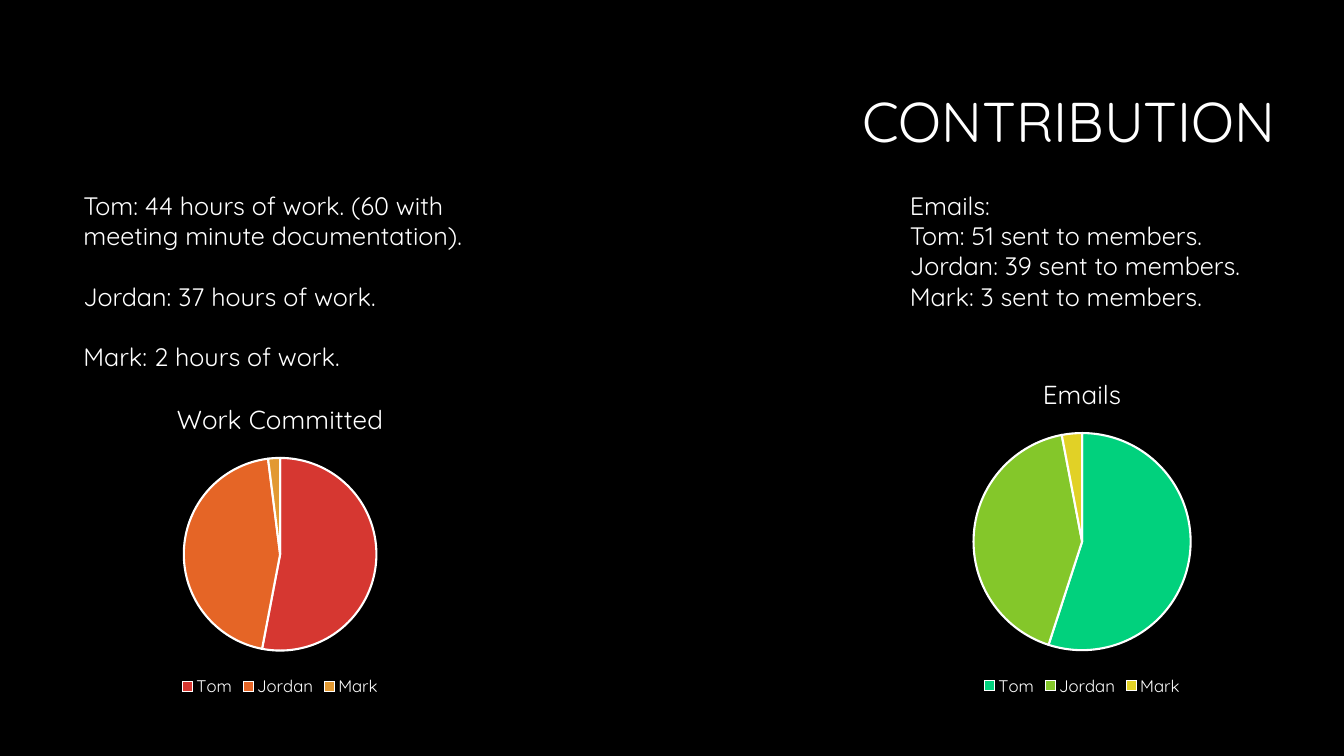
from pptx import Presentation
from pptx import util as u
from pptx.chart import data
from pptx.dml import color
from pptx.enum import chart as ch, text

FONT = "Quicksand"
WHITE = "FFFFFF"


def rgb(code):
    return color.RGBColor.from_string(code)


def write(lines, box, size=18, align=text.PP_ALIGN.LEFT,
          anchor=text.MSO_ANCHOR.TOP, gap=0, pitch=1.0):
    shape = slide.shapes.add_textbox(*[u.Cm(n) for n in box])
    frame = shape.text_frame
    frame.word_wrap = True
    frame.vertical_anchor = anchor
    frame.text = "\n".join(lines)
    for para in frame.paragraphs:
        para.alignment = align
        para.line_spacing = pitch
        para.space_after = u.Pt(gap)
        font = para.font
        font.name, font.size = FONT, u.Pt(size)
        font.color.rgb = rgb(WHITE)


# Slide with a black background
deck = Presentation()
deck.slide_width, deck.slide_height = u.Cm(33.87), u.Cm(19.05)
slide = deck.slides.add_slide(deck.slide_layouts[6])
slide.background.fill.solid()
slide.background.fill.fore_color.rgb = rgb("000000")

# Title
write(["CONTRIBUTION"], (8.46, 1.35, 23.93, 3.58), size=40,
      align=text.PP_ALIGN.RIGHT, anchor=text.MSO_ANCHOR.MIDDLE, pitch=0.9)

# Hours and emails
write(["Tom: 44 hours of work. (60 with meeting minute documentation).",
       "Jordan: 37 hours of work.",
       "Mark: 2 hours of work."], (1.85, 4.67, 10.9, 4.88), gap=21.6)
write(["Emails:",
       "Tom: 51 sent to members.",
       "Jordan: 39 sent to members.",
       "Mark: 3 sent to members."], (22.68, 4.67, 10.9, 3.33))

# Pie charts
pies = [
    ("Work Committed", (53, 45, 2), ("D63731", "E56526", "E29932"),
     (1.55, 9.68, 11.02, 7.98)),
    ("Emails", (55, 42, 3), ("01D17D", "84C72A", "E1D126"),
     (22.15, 9.04, 10.24, 8.61)),
]
for name, vals, hues, box in pies:
    table = data.CategoryChartData()
    table.categories = ["Tom", "Jordan", "Mark"]
    table.add_series(name, vals)
    chart = slide.shapes.add_chart(
        ch.XL_CHART_TYPE.PIE, *[u.Cm(n) for n in box], table).chart
    chart.has_title = True
    chart.chart_title.text_frame.text = name
    chart.chart_title.include_in_layout = False
    chart.has_legend = True
    chart.legend.position = ch.XL_LEGEND_POSITION.BOTTOM
    chart.legend.include_in_layout = False
    head = chart.chart_title.text_frame.paragraphs[0].runs[0].font
    for font, size in ((chart.font, 10), (chart.legend.font, 12), (head, 18.6)):
        font.name, font.size, font.bold = FONT, u.Pt(size), False
        font.color.rgb = rgb(WHITE)

    # Slices with white edges
    plot = chart.plots[0]
    plot.vary_by_categories = True
    for i, hue in enumerate(hues):
        part = plot.series[0].points[i].format
        part.fill.solid()
        part.fill.fore_color.rgb = rgb(hue)
        part.line.color.rgb = rgb(WHITE)
        part.line.width = u.Pt(1.5)

deck.save("out.pptx")
